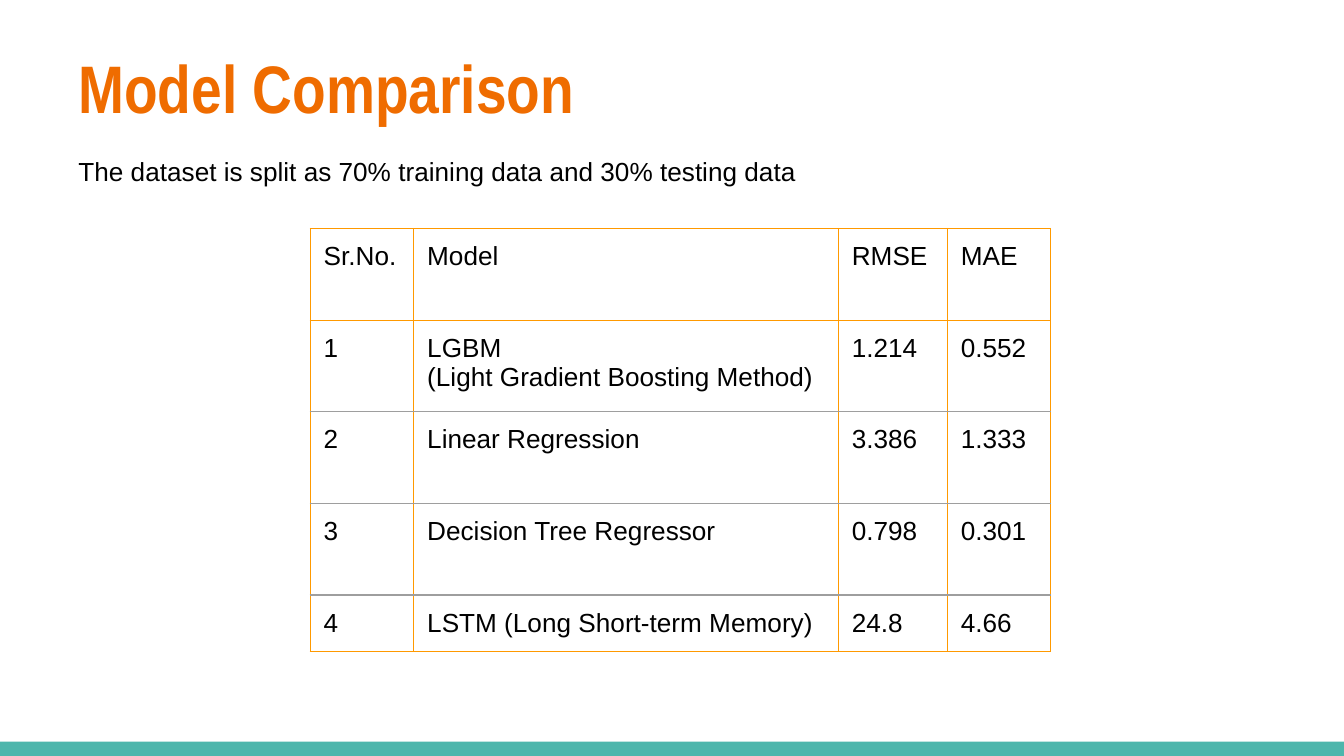
from dataclasses import dataclass

from lxml.etree import SubElement
from pptx import Presentation
from pptx.dml.color import RGBColor
from pptx.enum.shapes import MSO_SHAPE
from pptx.enum.text import MSO_ANCHOR, MSO_AUTO_SIZE, PP_ALIGN
from pptx.oxml.ns import qn
from pptx.util import Pt

COLORS = {
    "heading": "EF6C00",
    "text": "000000",
    "band": "4DB6AC",
    "grid": "FF9900",
    "row_rule": "9E9E9E",
}
INSET = Pt(7.2)


@dataclass
class TextStyle:
    font: str
    size: float
    color: str
    bold: bool = False


@dataclass
class Box:
    left: float
    top: float
    width: float
    height: float


HEADING = TextStyle("Arial Narrow", 36, "heading", True)
PLAIN = TextStyle("Arial", 14, "text")

COLUMN_WIDTHS = [55.5, 227.5, 58.4, 55.4]
ROW_HEIGHTS = [49.1] * 4 + [30.2]
RESULTS = [
    ("Sr.No.", "Model", "RMSE", "MAE"),
    ("1", "LGBM\n(Light Gradient Boosting Method)", "1.214", "0.552"),
    ("2", "Linear Regression", "3.386", "1.333"),
    ("3", "Decision Tree Regressor", "0.798", "0.301"),
    ("4", "LSTM (Long Short-term Memory)", "24.8", "4.66"),
]


def style_text(frame, style: TextStyle) -> None:
    for paragraph in frame.paragraphs:
        paragraph.alignment = PP_ALIGN.LEFT
        paragraph.space_before = Pt(0)
        for run in paragraph.runs:
            run.font.name = style.font
            run.font.size = Pt(style.size)
            run.font.bold = style.bold
            run.font.color.rgb = RGBColor.from_string(COLORS[style.color])


def fill_placeholder(holder, text: str, box: Box, style: TextStyle) -> None:
    holder.left, holder.top = Pt(box.left), Pt(box.top)
    holder.width, holder.height = Pt(box.width), Pt(box.height)
    frame = holder.text_frame
    frame.text = text
    frame.word_wrap = True
    frame.auto_size = MSO_AUTO_SIZE.NONE
    frame.vertical_anchor = MSO_ANCHOR.MIDDLE
    frame.margin_left = frame.margin_right = INSET
    frame.margin_top = frame.margin_bottom = INSET
    style_text(frame, style)


def remove_bullets(frame) -> None:
    for paragraph in frame.paragraphs:
        properties = paragraph._p.get_or_add_pPr()
        properties.set("marL", "0")
        properties.set("indent", "0")
        SubElement(properties, qn("a:buNone"))


def add_border(cell, side: str, color: str) -> None:
    line = SubElement(cell._tc.get_or_add_tcPr(), qn(f"a:{side}"), w=str(Pt(0.75)))
    fill = SubElement(line, qn("a:solidFill"))
    SubElement(fill, qn("a:srgbClr"), val=COLORS[color])


def add_results_table(slide, left: float, top: float) -> None:
    table = slide.shapes.add_table(
        len(RESULTS), len(COLUMN_WIDTHS), Pt(left), Pt(top),
        Pt(sum(COLUMN_WIDTHS)), Pt(sum(ROW_HEIGHTS)),
    ).table
    table.first_row = table.horz_banding = False
    for column, width in zip(table.columns, COLUMN_WIDTHS):
        column.width = Pt(width)
    for row, height in zip(table.rows, ROW_HEIGHTS):
        row.height = Pt(height)

    last_row = len(RESULTS) - 1
    for row_index, values in enumerate(RESULTS):
        # Rules between the body rows are grey, all other lines orange
        top_color = "row_rule" if row_index > 1 else "grid"
        bottom_color = "row_rule" if 0 < row_index < last_row else "grid"
        for column_index, value in enumerate(values):
            cell = table.cell(row_index, column_index)
            cell.text_frame.text = value
            style_text(cell.text_frame, PLAIN)
            cell.margin_left = cell.margin_right = INSET
            cell.margin_top = cell.margin_bottom = INSET
            cell.vertical_anchor = MSO_ANCHOR.TOP
            add_border(cell, "lnL", "grid")
            add_border(cell, "lnR", "grid")
            add_border(cell, "lnT", top_color)
            add_border(cell, "lnB", bottom_color)
            cell.fill.background()


def add_band(slide, box: Box) -> None:
    band = slide.shapes.add_shape(
        MSO_SHAPE.RECTANGLE, Pt(box.left), Pt(box.top), Pt(box.width), Pt(box.height)
    )
    band.shadow.inherit = False
    band.fill.solid()
    band.fill.fore_color.rgb = RGBColor.from_string(COLORS["band"])
    band.line.fill.background()


def main() -> None:
    deck = Presentation()
    deck.slide_width, deck.slide_height = Pt(720), Pt(405)
    slide = deck.slides.add_slide(deck.slide_layouts[1])

    # Bottom band
    add_band(slide, Box(0, 397.3, 720, 7.7))

    # Heading and data split
    fill_placeholder(slide.shapes.title, "Model Comparison",
                     Box(34.8, 19.5, 353.5, 53.3), HEADING)
    data_split = slide.placeholders[1]
    fill_placeholder(data_split,
                     "The dataset is split as 70% training data and 30% testing data",
                     Box(34.8, 75.6, 427.7, 32.4), PLAIN)
    remove_bullets(data_split.text_frame)

    # Model results
    add_results_table(slide, 166.2, 122.4)

    deck.save("out.pptx")


if __name__ == "__main__":
    main()
